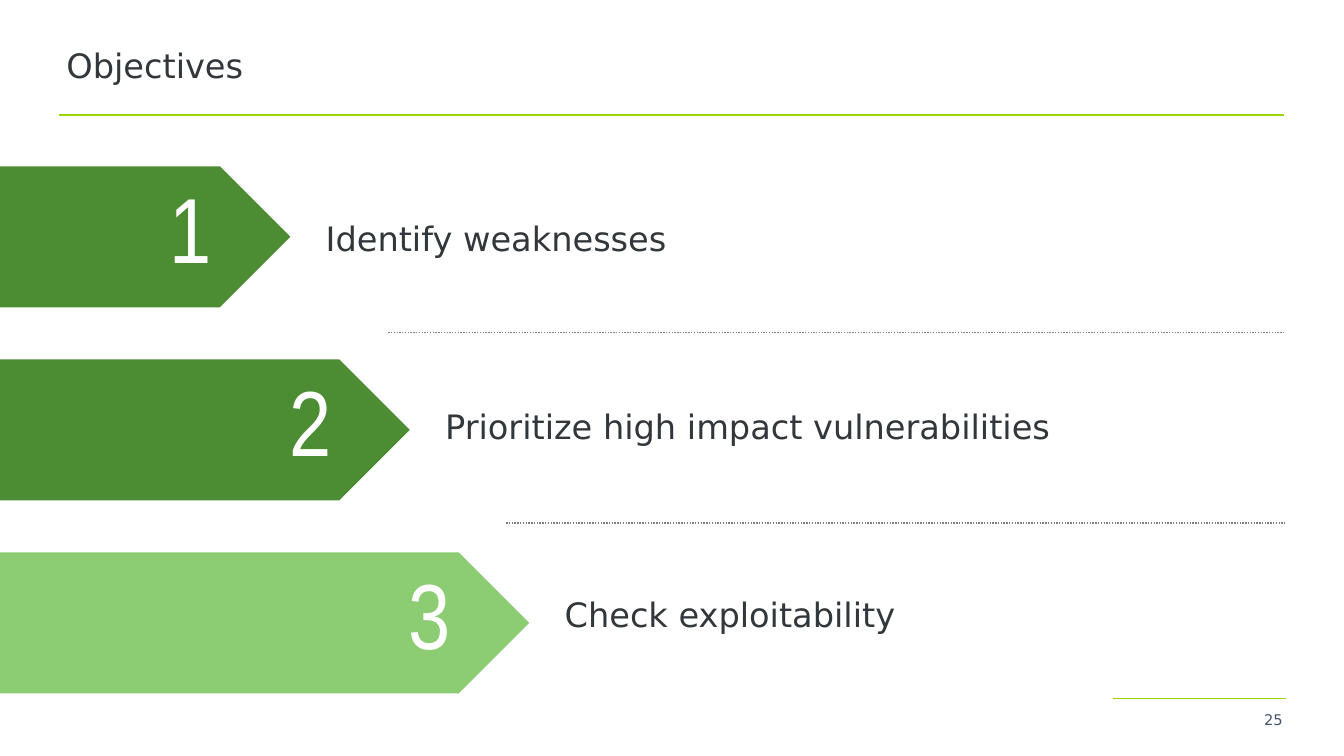
from lxml import etree
from pptx import Presentation
from pptx.dml.color import RGBColor
from pptx.enum.dml import MSO_LINE
from pptx.enum.shapes import MSO_CONNECTOR, MSO_SHAPE
from pptx.enum.text import MSO_ANCHOR, PP_ALIGN
from pptx.oxml.ns import qn
from pptx.util import Inches, Pt

STRAIGHT = MSO_CONNECTOR.STRAIGHT
ARROW = MSO_SHAPE.PENTAGON
DOTS = MSO_LINE.ROUND_DOT
MIDDLE = MSO_ANCHOR.MIDDLE
LEFT, CENTER, RIGHT = PP_ALIGN.LEFT, PP_ALIGN.CENTER, PP_ALIGN.RIGHT
SANS, NARROW = "DejaVu Sans", "Arial Narrow"
INK, LIME, GRAY, SLATE, WHITE = "32373C", "96D700", "7F7F7F", "445469", "FFFFFF"
DARK, LIGHT = "4C8C33", "8CCC73"
EDGE = 12.74
STEPS = [
    ("Identify weaknesses", DARK),
    ("Prioritize high impact vulnerabilities", DARK),
    ("Check exploitability", LIGHT),
]


def paint(target, color):
    """Set a color format to a hex color."""
    target.rgb = RGBColor.from_string(color)


def rule(slide, left, right, top, color, weight, dash=None):
    """Draw a level line."""
    line = slide.shapes.add_connector(
        STRAIGHT, Inches(left), Inches(top), Inches(right), Inches(top))
    paint(line.line.color, color)
    line.line.width = Pt(weight)
    if dash:
        line.line.dash_style = dash
    etree.SubElement(line._element.spPr, qn("a:effectLst"))


def write(shape, text, size, font, color, align=LEFT, inset=None,
          spacing=None, after=0):
    """Fill a shape with one formatted line, centred in height."""
    frame = shape.text_frame
    frame.word_wrap = True
    frame.vertical_anchor = MIDDLE
    if inset is not None:
        frame.margin_left = frame.margin_top = frame.margin_bottom = 0
        frame.margin_right = Inches(inset)
    frame.text = text
    para = frame.paragraphs[0]
    para.alignment = align
    para.line_spacing = spacing
    para.space_after = Pt(after)
    style = para.runs[0].font
    style.size, style.name = Pt(size), font
    paint(style.color, color)


def label(slide, box, text, size, color, **form):
    """Add a text box at the given box in inches."""
    shape = slide.shapes.add_textbox(*map(Inches, box))
    write(shape, text, size, SANS, color, **form)


def header(slide, box):
    """Place the title and the line under it."""
    left, top, width, height = box
    label(slide, box, "Objectives", 24, INK, spacing=0.9)
    rule(slide, left + 0.03, left + width, top + height + 0.01, LIME, 1.5)


def footer(slide, box):
    """Place the page number and the line over it."""
    left, top, width, height = box
    rule(slide, left, left + width, top, LIME, 0.5)
    label(slide, (left + 1.31, top + 0.06, 0.56, height), "25", 10.5, SLATE,
          align=CENTER)


def step(slide, box, number, text, color, shift):
    """Place a numbered arrow and its text, moved down by shift."""
    left, top, width, height = box
    arrow = slide.shapes.add_shape(ARROW, *map(Inches, box))
    arrow.shadow.inherit = False
    arrow.fill.solid()
    paint(arrow.fill.fore_color, color)
    arrow.line.fill.background()
    form = {"spacing": 0.8, "after": 10}
    write(arrow, str(number), 66, NARROW, WHITE, align=RIGHT, inset=0.43, **form)
    start = left + width + 0.35
    label(slide, (start, top + shift, EDGE - start, 1.3), text, 24, INK,
          inset=0, **form)


def ladder(slide, box):
    """Place the growing steps and the dotted lines between them."""
    left, top, width, height = box
    pitch = (height - 1.4) / (len(STEPS) - 1)
    for i, (text, color) in enumerate(STEPS):
        place = (left, top + i * pitch, width + i * 1.185, 1.4)
        step(slide, place, i + 1, text, color, 0.1 - i * 0.05)
    for i in range(len(STEPS) - 1):
        rule(slide, 3.85 + i * 1.17, EDGE, top + 1.65 + i * 1.89, GRAY, 1, DOTS)


def main():
    """Build and save the slide."""
    deck = Presentation()
    deck.slide_width, deck.slide_height = Inches(13.33), Inches(7.5)
    slide = deck.slides.add_slide(deck.slide_layouts[6])
    header(slide, (0.56, 0.22, 12.18, 0.91))
    ladder(slide, (0, 1.65, 2.88, 5.23))
    footer(slide, (11.04, 6.93, 1.71, 0.3))
    deck.save("out.pptx")


if __name__ == "__main__":
    main()
